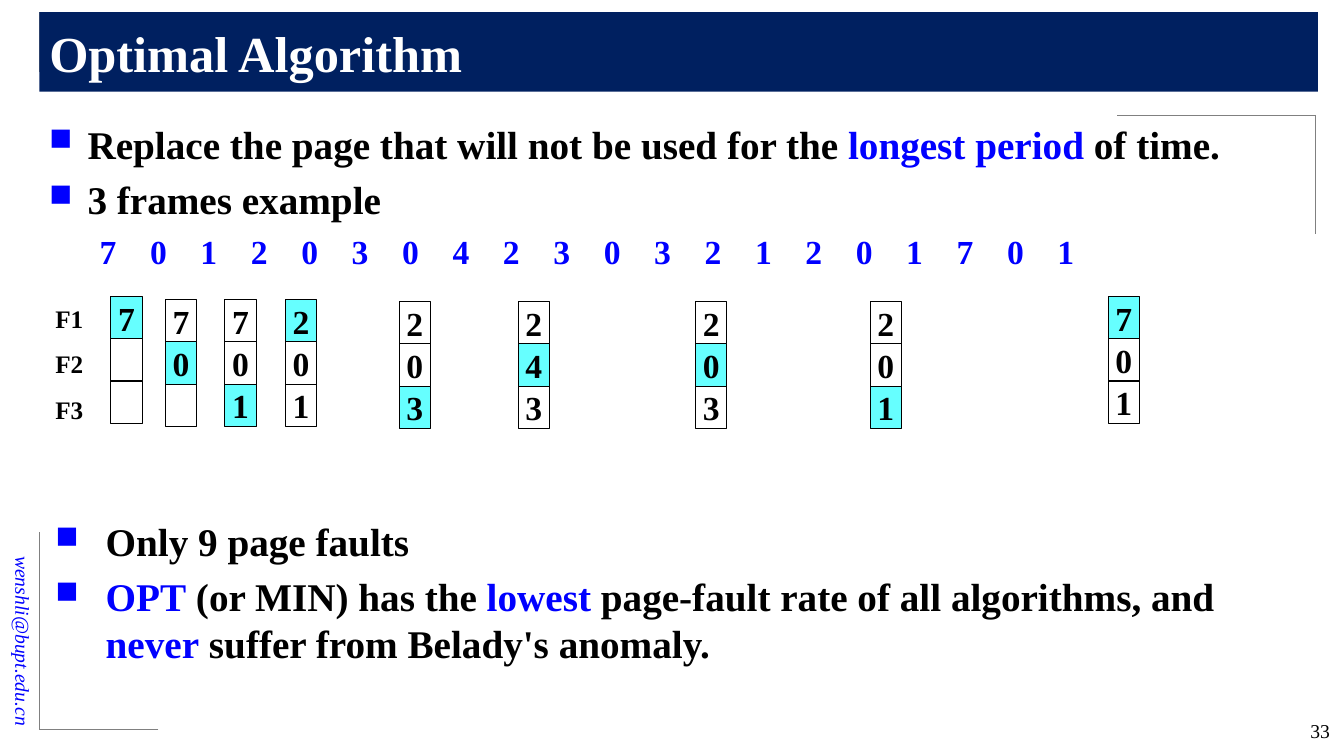
from dataclasses import dataclass

from lxml.etree import SubElement
from pptx import Presentation
from pptx.dml.color import RGBColor
from pptx.enum.shapes import MSO_CONNECTOR, MSO_SHAPE
from pptx.enum.text import MSO_ANCHOR, PP_ALIGN
from pptx.oxml.ns import qn
from pptx.util import Inches, Pt

COLORS = {"navy": "002060", "blue": "0000FF", "cyan": "66FFFF",
          "gray": "808080", "black": "000000", "white": "FFFFFF"}
FONT = "Times New Roman"
PITCH = 0.583
CELL_W, CELL_H = 0.31, 0.42


@dataclass
class Rule:
    x1: float
    y1: float
    x2: float
    y2: float


@dataclass
class Frame:
    left: float
    top: float
    pages: str
    fault: int


@dataclass
class Label:
    box: tuple
    text: str
    size: int
    color: str = "black"
    bold: bool = False
    italic: bool = False
    align: PP_ALIGN = PP_ALIGN.LEFT
    anchor: MSO_ANCHOR = MSO_ANCHOR.TOP
    wrap: bool = True
    turn: int = 0
    space: float = 1.0
    fill: str = ""


RULES = [
    Rule(0.39, 0.12, 0.39, 0.71), Rule(0.39, 0.12, 2.36, 0.12),
    Rule(0.39, 5.28, 0.39, 7.24), Rule(1.57, 7.24, 0.39, 7.24),
    Rule(13.05, 1.14, 13.05, 2.32), Rule(13.05, 1.14, 11.08, 1.14),
]
FRAMES = [
    Frame(1.1, 2.94, "7", 0), Frame(1.64, 2.97, "70", 1),
    Frame(2.23, 2.97, "701", 2), Frame(2.83, 2.97, "201", 0),
    Frame(3.96, 2.99, "203", 2), Frame(5.14, 2.99, "243", 1),
    Frame(6.9, 2.99, "203", 1), Frame(8.63, 2.99, "201", 2),
    Frame(10.99, 2.94, "701", 0),
]
LABELS = [
    Label((-1.09, 5.81, 2.64, 0.34), "wenshli@bupt.edu.cn", 14, "blue",
          italic=True, align=PP_ALIGN.RIGHT, anchor=MSO_ANCHOR.MIDDLE, turn=90),
    Label((0.39, 0.12, 12.68, 0.79), "Optimal Algorithm", 36, "white",
          bold=True, anchor=MSO_ANCHOR.MIDDLE, fill="navy"),
    Label((12.18, 7.08, 1.11, 0.36), "33", 14, align=PP_ALIGN.RIGHT),
    Label((0.45, 2.81, 0.48, 1.41), "F1\nF2\nF3", 18, bold=True,
          wrap=False, space=1.5),
]
RULE_TEXT = [
    [("Replace the page that will not be used for the ", "black"),
     ("longest period", "blue"), (" of time.", "black")],
    [("3 frames example", "black")],
]
RESULT = [
    [("Only 9 page faults", "black")],
    [("OPT", "blue"), (" (or MIN) has the ", "black"), ("lowest", "blue"),
     (" page-fault rate of all algorithms, and ", "black"),
     ("never", "blue"), (" suffer from Belady's anomaly.", "black")],
]
REFS = "70120304230321201701"


def rgb(name: str) -> RGBColor:
    return RGBColor.from_string(COLORS[name])


def style(para, size: int, color: str = "", bold: bool = False,
          italic: bool = False) -> None:
    font = para.font
    font.name, font.size, font.bold, font.italic = FONT, Pt(size), bold, italic
    if color:
        font.color.rgb = rgb(color)


def add_box(slide, box: tuple):
    return slide.shapes.add_textbox(*map(Inches, box))


def draw_rule(slide, rule: Rule) -> None:
    ends = map(Inches, (rule.x1, rule.y1, rule.x2, rule.y2))
    line = slide.shapes.add_connector(MSO_CONNECTOR.STRAIGHT, *ends)
    line.line.color.rgb = rgb("gray")
    line.line.width = Pt(0.5)
    SubElement(line._element.spPr, qn("a:effectLst"))


def draw_label(slide, label: Label) -> None:
    shape = add_box(slide, label.box)
    shape.rotation = label.turn
    if label.fill:
        shape.fill.solid()
        shape.fill.fore_color.rgb = rgb(label.fill)
    frame = shape.text_frame
    frame.word_wrap = label.wrap
    frame.vertical_anchor = label.anchor
    frame.text = label.text
    for para in frame.paragraphs:
        para.alignment = label.align
        para.line_spacing = label.space
        style(para, label.size, label.color, label.bold, label.italic)


def draw_list(slide, box: tuple, items: list, indent: float):
    frame = add_box(slide, box).text_frame
    frame.word_wrap = True
    for i, item in enumerate(items):
        para = frame.add_paragraph() if i else frame.paragraphs[0]
        props = para._p.get_or_add_pPr()
        props.set("marL", str(Inches(indent)))
        props.set("indent", str(-Inches(indent)))
        tint = SubElement(props, qn("a:buClr"))
        SubElement(tint, qn("a:srgbClr"), val=COLORS["blue"])
        SubElement(props, qn("a:buSzPct"), val="80000")
        SubElement(props, qn("a:buChar"), char="■")
        style(para, 28, bold=True)
        if i:
            para.space_before = Pt(6)
        for text, color in item:
            run = para.add_run()
            run.text = text
            run.font.color.rgb = rgb(color)
    return frame


def add_refs(frame) -> None:
    para = frame.add_paragraph()
    props = para._p.get_or_add_pPr()
    props.set("marL", "0")
    props.set("indent", "0")
    tabs = SubElement(props, qn("a:tabLst"))
    for i in range(len(REFS)):
        SubElement(tabs, qn("a:tab"), pos=str(Inches(PITCH * (i + 1))), algn="l")
    style(para, 24, "blue", bold=True)
    para.space_before = Pt(6)
    para.add_run().text = "".join("\t" + page for page in REFS)


def draw_frame(slide, frame: Frame) -> None:
    group = slide.shapes.add_group_shape()
    for i, page in enumerate(frame.pages.ljust(3)):
        box = (frame.left, frame.top + i * CELL_H, CELL_W, CELL_H)
        cell = group.shapes.add_shape(MSO_SHAPE.RECTANGLE, *map(Inches, box))
        cell.shadow.inherit = False
        cell.line.color.rgb = rgb("black")
        cell.line.width = Pt(0.75)
        if i == frame.fault:
            cell.fill.solid()
            cell.fill.fore_color.rgb = rgb("cyan")
        else:
            cell.fill.background()
        text = cell.text_frame
        text.word_wrap = False
        text.vertical_anchor = MSO_ANCHOR.MIDDLE
        text.text = page.strip()
        para = text.paragraphs[0]
        para.alignment = PP_ALIGN.CENTER
        style(para, 24, "black", bold=True)


def main() -> None:
    deck = Presentation()
    deck.slide_width, deck.slide_height = Inches(13.33), Inches(7.5)
    slide = deck.slides.add_slide(deck.slide_layouts[6])
    for rule in RULES:
        draw_rule(slide, rule)
    for label in LABELS:
        draw_label(slide, label)
    add_refs(draw_list(slide, (0.39, 1.14, 12.64, 6.1), RULE_TEXT, 0.38))
    for frame in FRAMES:
        draw_frame(slide, frame)
    draw_list(slide, (0.45, 5.08, 12.58, 2.17), RESULT, 0.5)
    deck.save("out.pptx")


if __name__ == "__main__":
    main()
